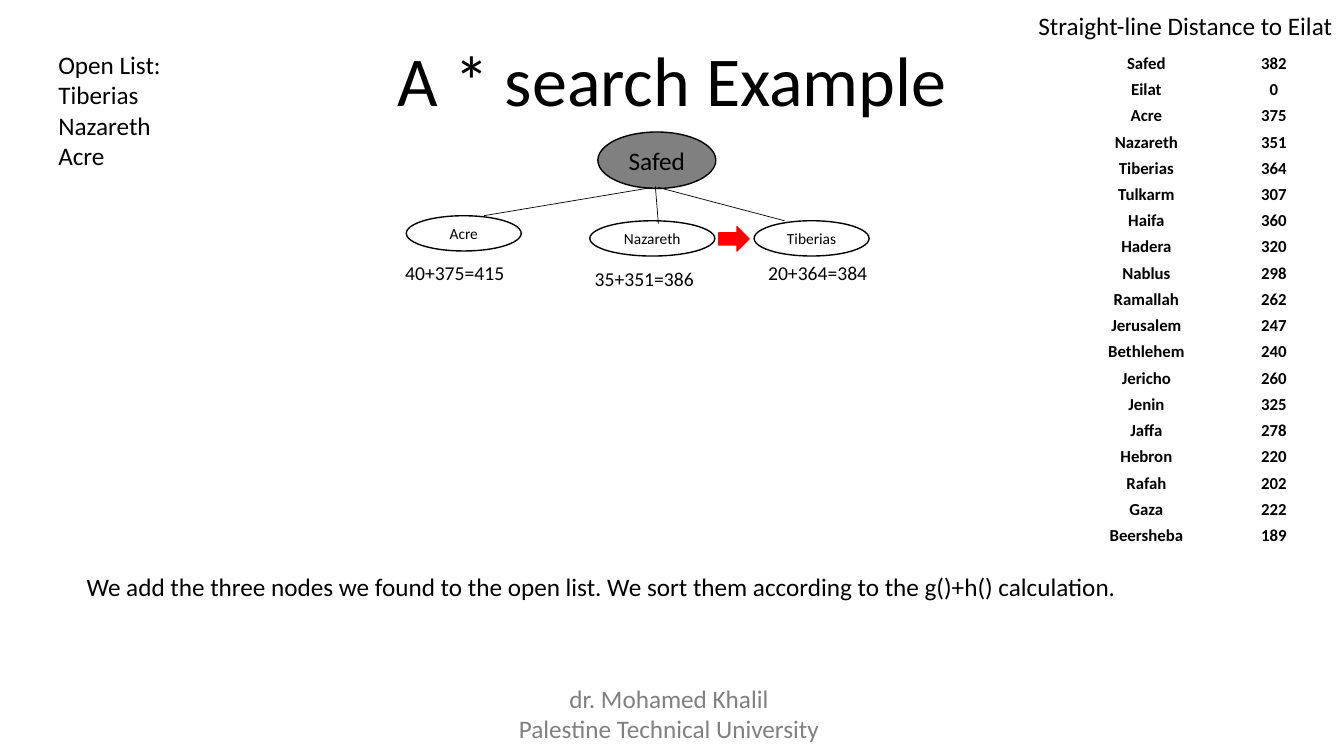
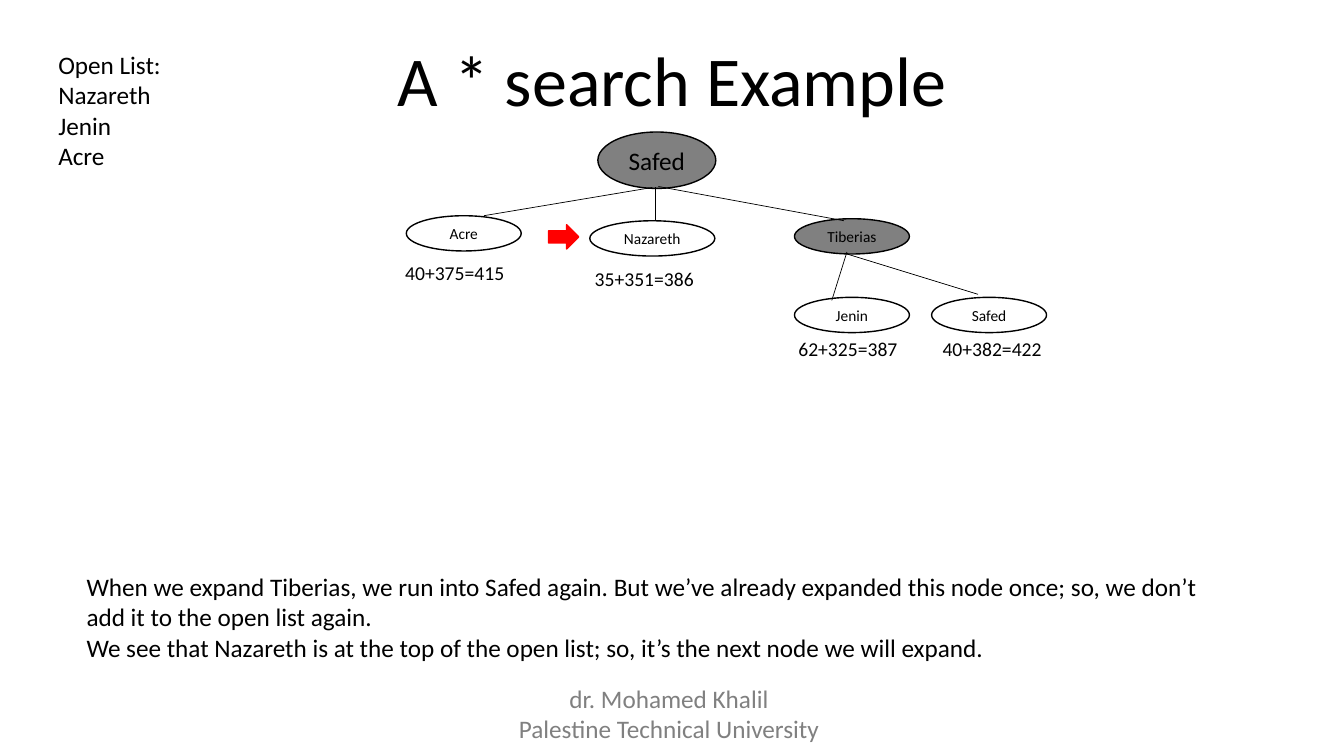
from dataclasses import dataclass

from lxml.etree import SubElement
from pptx import Presentation
from pptx.dml.color import RGBColor as Rgb
from pptx.enum.shapes import MSO_CONNECTOR as Conn, MSO_SHAPE as Form
from pptx.enum.text import MSO_ANCHOR as Anchor, PP_ALIGN as Align
from pptx.oxml.ns import qn
from pptx.shapes.autoshape import Shape
from pptx.slide import Slide
from pptx.text.text import TextFrame
from pptx.util import Emu, Pt

PX = 9144  # 100 px to the inch
FONT = "Calibri"
HUES = {"ink": "000000", "paper": "FFFFFF", "done": "808080",
        "foot": "808080", "next": "FF0000"}
Box = tuple[int, int, int, int]


@dataclass(frozen=True)
class Style:
    size: int = 18
    hue: str = "ink"
    bold: bool = False
    align: Align = Align.LEFT
    space: float = 1.0


BODY = Style()
TITLE = Style(50, align=Align.CENTER, space=0.9)
FOOT = Style(hue="foot", align=Align.CENTER)
COST = Style(14)
ROOT = Style(align=Align.CENTER)
LEAF = Style(11, align=Align.CENTER)
CELL = Style(12, bold=True, align=Align.CENTER)


@dataclass(frozen=True)
class Node:
    name: str
    left: int
    top: int
    wide: int = 114
    high: int = 35
    fill: str = "paper"
    style: Style = LEAF


@dataclass(frozen=True)
class Cost:
    text: str
    left: int
    top: int


@dataclass(frozen=True)
class Edge:
    start: tuple[int, int]
    end: tuple[int, int]


@dataclass(frozen=True)
class Step:
    """One stage of the search; its parts join the shared ones."""
    queue: list[str]
    note: list[str]
    arrow: tuple[int, int]
    nodes: list[Node]
    costs: list[Cost]
    edges: list[Edge]


NODES = [Node("Safed", 593, 131, 117, 56, "done", ROOT),
         Node("Nazareth", 585, 219, 124),
         Node("Acre", 403, 214)]
COSTS = [Cost("40+375=415", 392, 254), Cost("35+351=386", 580, 260)]
EDGES = [Edge((480, 214), (647, 186))]

STEPS = [
    Step(["Tiberias", "Nazareth", "Acre"],
         ["We add the three nodes we found to the open list. "
          "We sort them according to the g()+h() calculation."],
         (713, 225),
         [Node("Tiberias", 748, 219)],
         [Cost("20+364=384", 752, 254)],
         [Edge((653, 222), (650, 185)), Edge((778, 219), (653, 186))]),
    Step(["Nazareth", "Jenin", "Acre"],
         ["When we expand Tiberias, we run into Safed again. "
          "But we’ve already expanded this node once; "
          "so, we don’t add it to the open list again.",
          "We see that Nazareth is at the top of the open list; "
          "so, it’s the next node we will expand."],
         (544, 223),
         [Node("Tiberias", 788, 217, fill="done"),
          Node("Jenin", 788, 295), Node("Safed", 924, 295)],
         [Cost("62+325=387", 782, 329), Cost("40+382=422", 925, 329)],
         [Edge((650, 218), (650, 186)), Edge((837, 219), (653, 185)),
          Edge((825, 298), (840, 250)), Edge((970, 292), (840, 252))]),
]

DISTS = {"Safed": 382, "Eilat": 0, "Acre": 375, "Nazareth": 351,
         "Tiberias": 364, "Tulkarm": 307, "Haifa": 360, "Hadera": 320,
         "Nablus": 298, "Ramallah": 262, "Jerusalem": 247,
         "Bethlehem": 240, "Jericho": 260, "Jenin": 325, "Jaffa": 278,
         "Hebron": 220, "Rafah": 202, "Gaza": 222, "Beersheba": 189}


def px(*vals: int) -> list[Emu]:
    return [Emu(val * PX) for val in vals]


def tint(key: str) -> Rgb:
    return Rgb.from_string(HUES[key])


def assign(item: object, vals: dict[str, object]) -> None:
    for key, val in vals.items():
        setattr(item, key, val)


def pad(item: object, *sides: int) -> None:
    """Set the left, top, right and bottom margins."""
    names = ("margin_left", "margin_top", "margin_right", "margin_bottom")
    assign(item, dict(zip(names, px(*sides))))


def write(frame: TextFrame, lines: list[str], style: Style) -> None:
    for pos, line in enumerate(lines):
        para = frame.add_paragraph() if pos else frame.paragraphs[0]
        assign(para, {"alignment": style.align, "line_spacing": style.space})
        run = para.add_run()
        run.text = line
        assign(run.font, {"name": FONT, "size": Pt(style.size),
                          "bold": style.bold})
        run.font.color.rgb = tint(style.hue)


def label(slide: Slide, box: Box, lines: list[str], style: Style = BODY,
          anchor: Anchor = Anchor.TOP, right: int = 10) -> None:
    frame = slide.shapes.add_textbox(*px(*box)).text_frame
    assign(frame, {"word_wrap": True, "vertical_anchor": anchor})
    pad(frame, 10, 5, right, 5)
    write(frame, lines, style)


def solid(slide: Slide, form: Form, box: Box, fill: str, line: str) -> Shape:
    shape = slide.shapes.add_shape(form, *px(*box))
    shape.shadow.inherit = False
    shape.fill.solid()
    shape.fill.fore_color.rgb = tint(fill)
    shape.line.color.rgb = tint(line)
    shape.line.width = Pt(1)
    return shape


def oval(slide: Slide, node: Node) -> None:
    box = (node.left, node.top, node.wide, node.high)
    frame = solid(slide, Form.OVAL, box, node.fill, "ink").text_frame
    assign(frame, {"word_wrap": True, "vertical_anchor": Anchor.MIDDLE})
    pad(frame, 0, 0, 0, 0)
    write(frame, [node.name], node.style)


def link(slide: Slide, edge: Edge) -> None:
    line = slide.shapes.add_connector(
        Conn.STRAIGHT, *px(*edge.start, *edge.end))
    line.line.color.rgb = tint("ink")
    line.line.width = Pt(0.5)
    SubElement(line._element.spPr, qn("a:effectLst"))


def chart(slide: Slide) -> None:
    """Draw the table of distances with its heading."""
    label(slide, (1020, 5, 313, 40), ["Straight-line Distance to Eilat"],
          right=0)
    high = 26
    table = slide.shapes.add_table(
        len(DISTS), 2, *px(1050, 52, 253, high * len(DISTS))).table
    assign(table, {"first_row": False, "horz_banding": False})
    for col, wide in zip(table.columns, px(174, 79)):
        col.width = wide
    for row, pair in zip(table.rows, DISTS.items()):
        row.height = px(high)[0]
        for cell, val in zip(row.cells, pair):
            cell.fill.solid()
            cell.fill.fore_color.rgb = tint("paper")
            cell.vertical_anchor = Anchor.BOTTOM
            pad(cell, 1, 1, 1, 5)
            write(cell.text_frame, [str(val)], CELL)


def draw(slide: Slide, step: Step) -> None:
    label(slide, (320, 38, 694, 88), ["A * search Example"], TITLE,
          Anchor.BOTTOM)
    label(slide, (389, 673, 549, 71),
          ["dr. Mohamed Khalil", "Palestine Technical University"], FOOT)
    label(slide, (48, 44, 300, 131), ["Open List:", *step.queue])
    label(slide, (76, 562, 1141, 101), step.note)
    solid(slide, Form.RIGHT_ARROW, (*step.arrow, 30, 24), "next", "next")
    for node in NODES + step.nodes:
        oval(slide, node)
    for cost in COSTS + step.costs:
        label(slide, (cost.left, cost.top, 143, 34), [cost.text], COST)
    for edge in EDGES + step.edges:
        link(slide, edge)


def main() -> None:
    deck = Presentation()
    deck.slide_width, deck.slide_height = px(1333, 750)
    slides = [deck.slides.add_slide(deck.slide_layouts[6]) for _ in STEPS]
    for slide, step in zip(slides, STEPS):
        draw(slide, step)
    chart(slides[0])
    deck.save("out.pptx")


if __name__ == "__main__":
    main()
